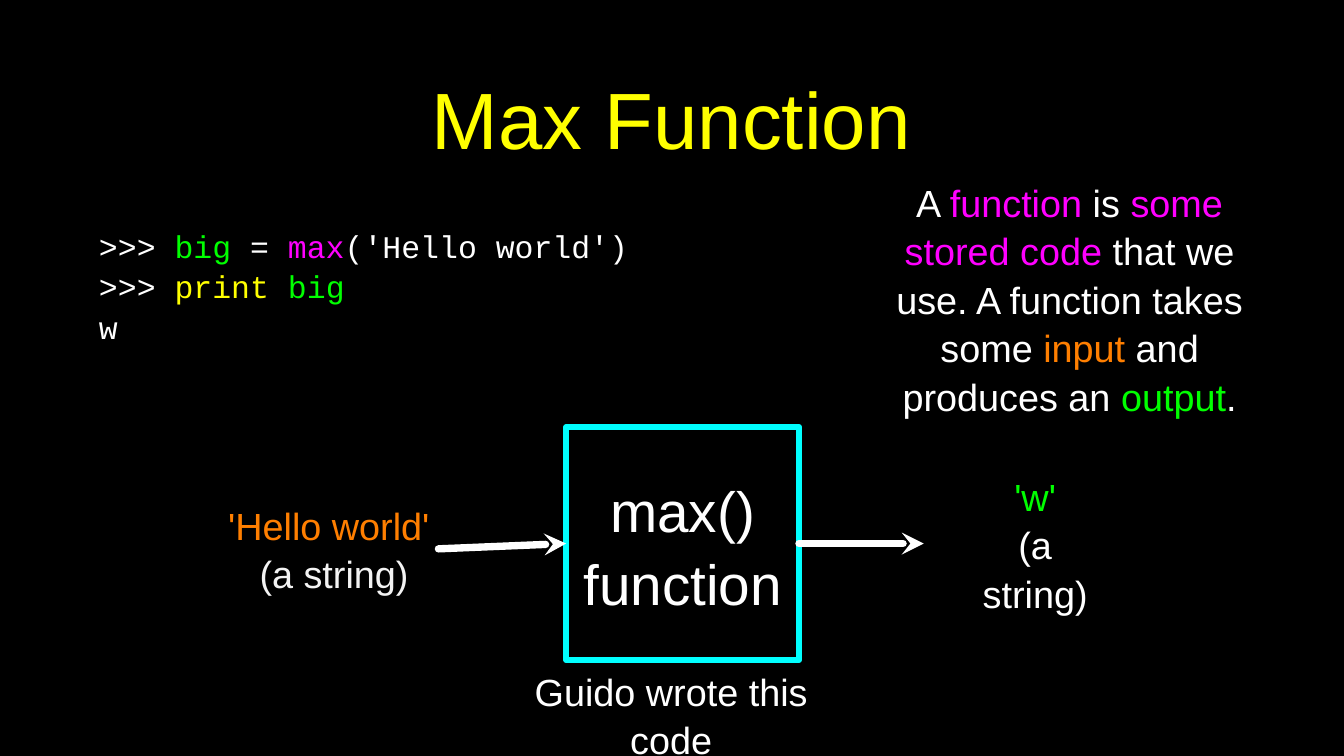
"""Build the "Max Function" slide: code sample, definition and input-output diagram."""
from lxml import etree
from pptx import Presentation
from pptx.dml.color import RGBColor
from pptx.enum.shapes import MSO_CONNECTOR, MSO_SHAPE
from pptx.enum.text import MSO_ANCHOR, PP_ALIGN
from pptx.oxml.ns import qn
from pptx.util import Inches, Pt

CENTER, LEFT = PP_ALIGN.CENTER, PP_ALIGN.LEFT
MIDDLE = MSO_ANCHOR.MIDDLE
RECTANGLE = MSO_SHAPE.RECTANGLE
STRAIGHT = MSO_CONNECTOR.STRAIGHT
LEFT_SIDE, RIGHT_SIDE = 1, 3

BLACK = RGBColor(0x00, 0x00, 0x00)
WHITE = RGBColor(0xFF, 0xFF, 0xFF)
PALE = RGBColor(0xF3, 0xF3, 0xF3)
YELLOW = RGBColor(0xFF, 0xFF, 0x00)
GREEN = RGBColor(0x00, 0xFF, 0x00)
MAGENTA = RGBColor(0xFF, 0x00, 0xFF)
ORANGE = RGBColor(0xFF, 0x7F, 0x00)
CYAN = RGBColor(0x00, 0xFF, 0xFF)

SLIDE_SIZE = (17.78, 10)
LINE_SPACING = 1.07

TITLE = [[("Max Function", YELLOW)]]
CODE = [
    [(">>> ", WHITE), ("big", GREEN), (" = ", WHITE), ("max", MAGENTA), ("('Hello world')", WHITE)],
    [(">>> ", WHITE), ("print ", YELLOW), ("big", GREEN)],
    [("w", WHITE)],
]
INPUT = [[("'Hello world' ", ORANGE)], [("(a string)", PALE)]]
OUTPUT = [[("'w'", GREEN)], [("(a string)", WHITE)]]
DEFINITION = [[
    ("A ", WHITE), ("function", MAGENTA), (" is ", WHITE), ("some stored code", MAGENTA),
    (" that we use. A function takes some ", WHITE), ("input", ORANGE),
    (" and produces an ", WHITE), ("output", GREEN), (".", WHITE),
]]
AUTHOR = [[("Guido wrote this code", WHITE)]]
FUNCTION = [[("max()", WHITE)], [("function", WHITE)]]

TEXTS = [
    (TITLE, (1.26, 0.26, 15.24, 2.51), 76, "Arial", CENTER),
    (CODE, (1.31, 2.86, 7.8, 1.82), 30, "Courier New", LEFT),
    (INPUT, (2.86, 6.62, 3.12, 1.25), 36, "Arial", CENTER),
    (OUTPUT, (12.73, 6.56, 1.93, 1.25), 36, "Arial", CENTER),
    (DEFINITION, (11.45, 2.74, 5.4, 2.39), 36, "Arial", CENTER),
    (AUTHOR, (6.51, 9.1, 4.74, 0.68), 36, "Arial", CENTER),
]
FUNCTION_BOX = (7.49, 5.65, 3.08, 3.08)
INPUT_ARROW_START = (5.8, 7.26)
OUTPUT_ARROW_END = (12.22, 7.19)


def inches(lengths):
    return [Inches(length) for length in lengths]


def write(frame, lines, size, font, alignment):
    frame.word_wrap = True
    frame.vertical_anchor = MIDDLE
    frame.margin_left = frame.margin_right = frame.margin_top = frame.margin_bottom = 0
    for index, line in enumerate(lines):
        paragraph = frame.add_paragraph() if index else frame.paragraphs[0]
        paragraph.alignment = alignment
        paragraph.line_spacing = LINE_SPACING
        for words, color in line:
            run = paragraph.add_run()
            run.text = words
            run.font.size = Pt(size)
            run.font.name = font
            run.font.color.rgb = color


def add_arrow(slide, start, end):
    arrow = slide.shapes.add_connector(STRAIGHT, *inches(start + end))
    arrow.line.color.rgb = WHITE
    arrow.line.width = Pt(7)
    properties = arrow.line._get_or_add_ln()
    properties.set("cap", "rnd")
    etree.SubElement(properties, qn("a:round"))
    etree.SubElement(properties, qn("a:tailEnd"), type="stealth")
    etree.SubElement(arrow._element.spPr, qn("a:effectLst"))
    return arrow


def main():
    presentation = Presentation()
    presentation.slide_width, presentation.slide_height = inches(SLIDE_SIZE)
    slide = presentation.slides.add_slide(presentation.slide_layouts[6])
    slide.background.fill.solid()
    slide.background.fill.fore_color.rgb = BLACK

    for lines, place, size, font, alignment in TEXTS:
        text_box = slide.shapes.add_textbox(*inches(place))
        write(text_box.text_frame, lines, size, font, alignment)

    function_box = slide.shapes.add_shape(RECTANGLE, *inches(FUNCTION_BOX))
    function_box.shadow.inherit = False
    function_box.fill.background()
    function_box.line.color.rgb = CYAN
    function_box.line.width = Pt(6)
    etree.SubElement(function_box.line._get_or_add_ln(), qn("a:round"))
    write(function_box.text_frame, FUNCTION, 54, "Arial", CENTER)

    left, top, width, height = FUNCTION_BOX
    middle = top + height / 2
    input_arrow = add_arrow(slide, INPUT_ARROW_START, (left, middle))
    input_arrow.end_connect(function_box, LEFT_SIDE)
    output_arrow = add_arrow(slide, (left + width, middle), OUTPUT_ARROW_END)
    output_arrow.begin_connect(function_box, RIGHT_SIDE)

    presentation.save("out.pptx")


if __name__ == "__main__":
    main()
